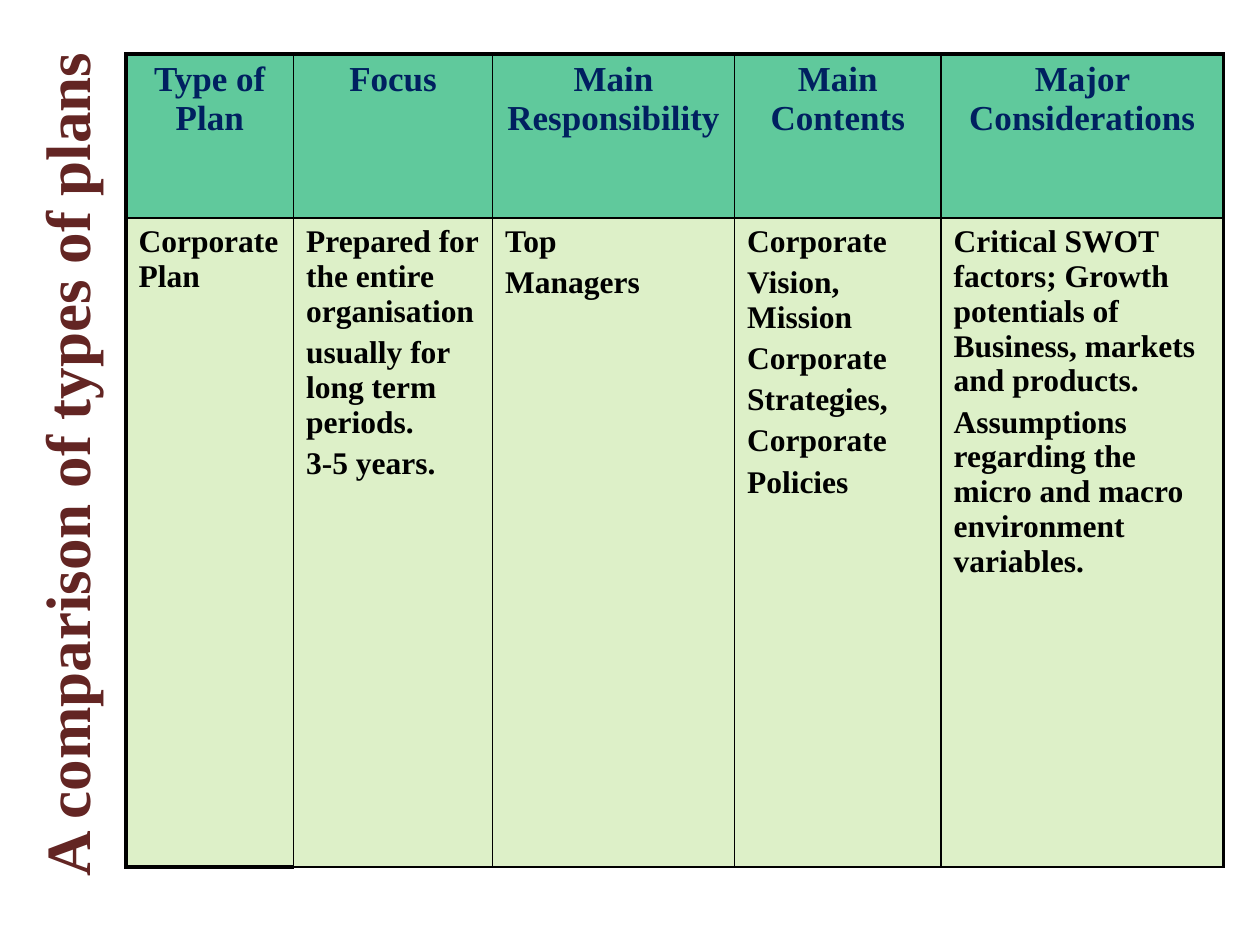
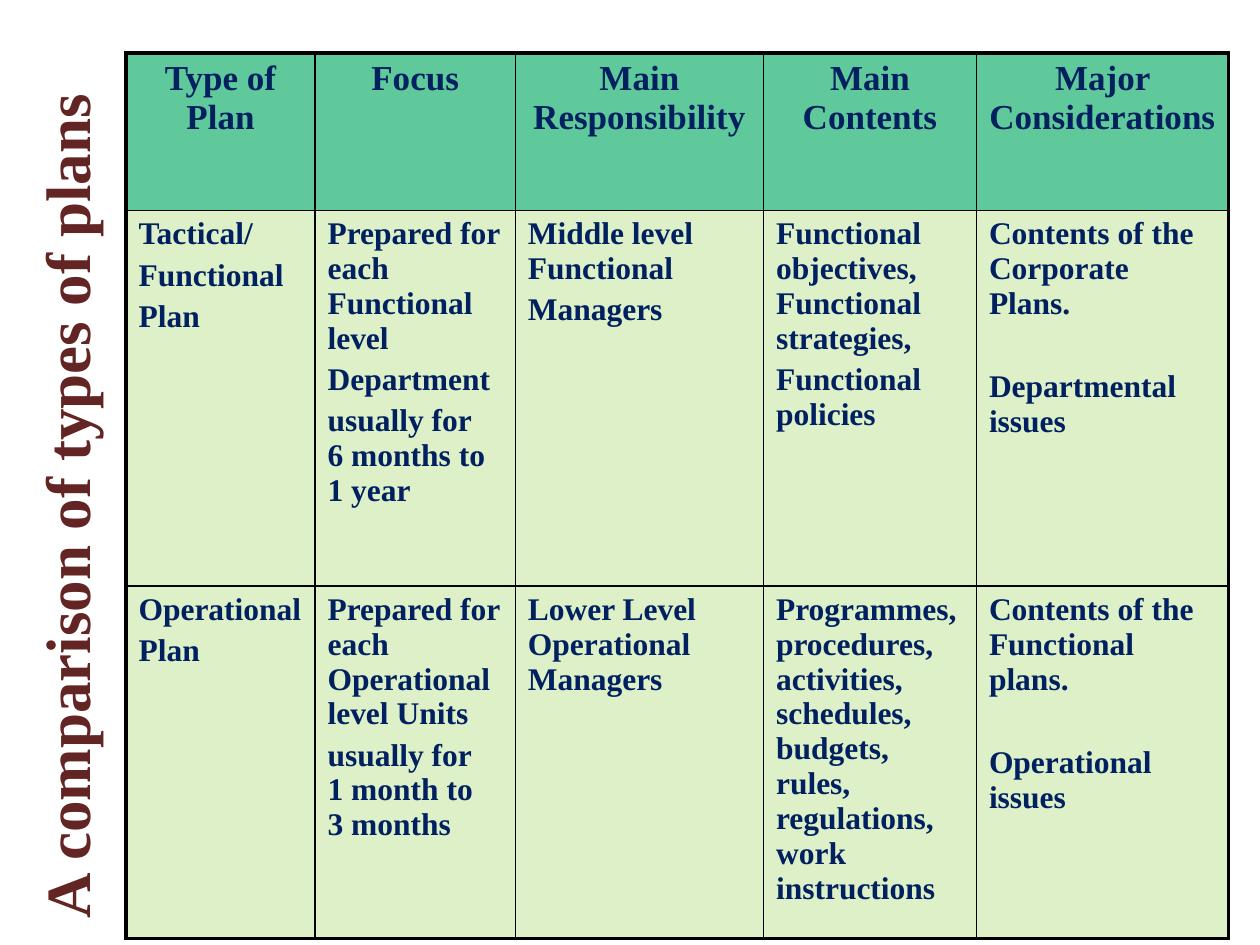
from pptx import Presentation
from pptx.dml.color import RGBColor
from pptx.enum.text import MSO_ANCHOR, MSO_AUTO_SIZE, PP_ALIGN
from pptx.oxml import parse_xml
from pptx.oxml.ns import nsdecls
from pptx.util import Inches, Pt

LEFT, CENTER = PP_ALIGN.LEFT, PP_ALIGN.CENTER
TOP = MSO_ANCHOR.TOP
GROW = MSO_AUTO_SIZE.SHAPE_TO_FIT_TEXT

FONT = "Times New Roman"
MAROON = RGBColor(0x63, 0x25, 0x23)
NAVY = RGBColor(0x00, 0x20, 0x60)
BLACK = RGBColor(0x00, 0x00, 0x00)
GREEN = RGBColor(0x60, 0xC9, 0x9C)
PALE_GREEN = RGBColor(0xDD, 0xF0, 0xC8)

THICK, THIN = Pt(2.25), Pt(1)
PARA_GAP = Pt(3.6)
WIDE_GAP = Pt(27.6)
WIDE = "^"  # starts a paragraph that is set apart by a wide gap

TITLE = "A comparison of types of plans"
HEADINGS = ["Type of Plan", "Focus", "Main Responsibility", "Main Contents",
            "Major Considerations"]

# Each cell is a list of paragraphs; "\n" is a line break inside one
CORPORATE = [
    ["Corporate Plan"],
    ["Prepared for the entire organisation", "usually for long term periods.",
     "3-5 years."],
    ["Top", "Managers"],
    ["Corporate", "Vision, Mission", "Corporate", "Strategies,", "Corporate",
     "Policies"],
    ["Critical SWOT factors; Growth potentials of Business, markets and products.",
     "Assumptions regarding the micro and macro environment variables."],
]
TACTICAL = [
    ["Tactical/", "Functional", "Plan"],
    ["Prepared for each Functional level", "Department",
     "usually for\n6 months to\n1 year"],
    ["Middle level Functional", "Managers"],
    ["Functional objectives, Functional strategies,", "Functional policies"],
    ["Contents of the Corporate Plans.", WIDE + "Departmental issues"],
]
OPERATIONAL = [
    ["Operational", "Plan"],
    ["Prepared for each Operational level Units",
     "usually for\n1 month to\n3 months"],
    ["Lower Level Operational Managers"],
    ["Programmes, procedures, activities, schedules, budgets, rules, "
     "regulations, work instructions"],
    ["Contents of the Functional plans.", WIDE + "Operational issues"],
]


def add_run(p, text, size, color):
    r = p.add_run()
    r.text = text
    r.font.name = FONT
    r.font.size = Pt(size)
    r.font.bold = True
    r.font.color.rgb = color


def add_side_title(s, top):
    """Title that reads upwards along the left edge."""
    title = s.shapes.title
    title.left, title.top = Inches(-2.88), Inches(top)
    title.width, title.height = Inches(6.81), Inches(0.71)
    title.rotation = 270
    tf = title.text_frame
    tf.word_wrap = False
    tf.auto_size = GROW
    tf.vertical_anchor = TOP
    p = tf.paragraphs[0]
    p.alignment = LEFT
    add_run(p, TITLE, 36, MAROON)


def set_borders(cell, left, right, top, bottom):
    tc_pr = cell._tc.get_or_add_tcPr()
    for side, width in zip("LRTB", (left, right, top, bottom)):
        tc_pr.append(parse_xml(
            f'<a:ln{side} {nsdecls("a")} w="{int(width)}"><a:solidFill>'
            f'<a:srgbClr val="{BLACK}"/></a:solidFill></a:ln{side}>'))


def fill_cell(cell, paragraphs, size, color, align):
    tf = cell.text_frame
    for i, text in enumerate(paragraphs):
        p = tf.add_paragraph() if i else tf.paragraphs[0]
        p.alignment = align
        if i:
            p.space_before = WIDE_GAP if text.startswith(WIDE) else PARA_GAP
        for j, line in enumerate(text.removeprefix(WIDE).split("\n")):
            if j:
                p.add_line_break()
            add_run(p, line, size, color)


def add_plan_table(s, top, widths, heights, plans, body_color, thick_bottom):
    """Table of plans; the first thick_bottom columns end in a thick line."""
    rows = [[[h] for h in HEADINGS]] + plans
    table = s.shapes.add_table(
        len(rows), len(widths), Inches(1), Inches(top),
        Inches(sum(widths)), Inches(sum(heights))).table
    table.horz_banding = False
    for column, width in zip(table.columns, widths):
        column.width = Inches(width)
    for row, height in zip(table.rows, heights):
        row.height = Inches(height)

    last_row, last_col = len(rows) - 1, len(widths) - 1
    for i, row in enumerate(rows):
        for j, paragraphs in enumerate(row):
            cell = table.cell(i, j)
            set_borders(cell,
                        left=THICK if j == 0 else THIN,
                        right=THICK if j == last_col else THIN,
                        top=THICK if i == 0 else THIN,
                        bottom=THICK if i == last_row and j < thick_bottom else THIN)
            cell.fill.solid()
            cell.fill.fore_color.rgb = PALE_GREEN if i else GREEN
            if i:
                fill_cell(cell, paragraphs, 18, body_color, LEFT)
            else:
                fill_cell(cell, paragraphs, 20, NAVY, CENTER)


def main():
    prs = Presentation()
    prs.slide_width, prs.slide_height = Inches(10), Inches(7.5)
    title_only = prs.slide_layouts[5]

    # Corporate plan
    s = prs.slides.add_slide(title_only)
    add_side_title(s, 3.3)
    add_plan_table(s, 0.43, [1.33, 1.58, 1.92, 1.64, 2.24], [1.3, 5.15],
                   [CORPORATE], BLACK, thick_bottom=1)

    # Tactical and operational plans
    s = prs.slides.add_slide(title_only)
    add_side_title(s, 3.63)
    add_plan_table(s, 0.42, [1.5, 1.59, 1.97, 1.69, 2], [1.25, 2.98, 2.8],
                   [TACTICAL, OPERATIONAL], NAVY, thick_bottom=5)

    prs.save("out.pptx")


if __name__ == "__main__":
    main()
